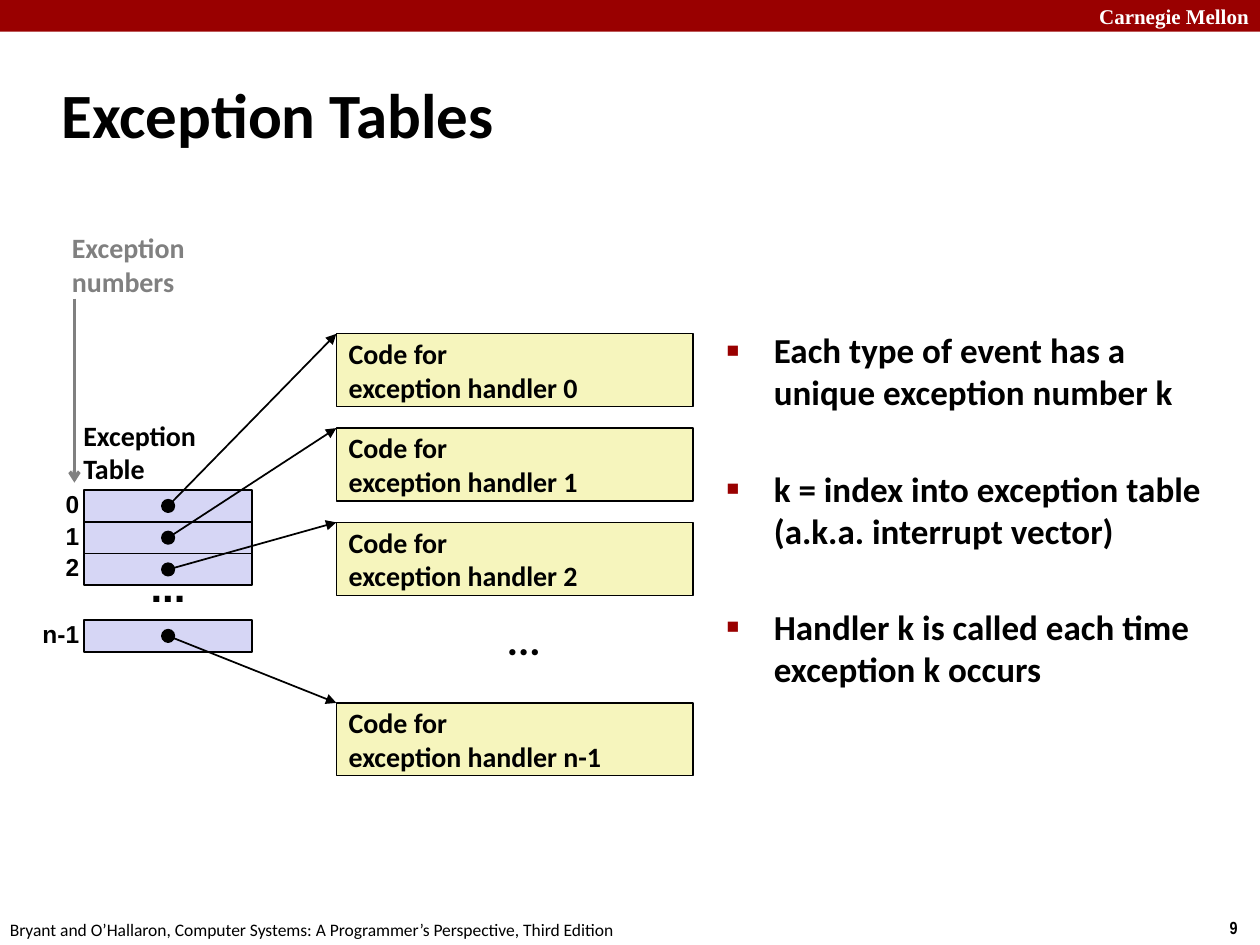
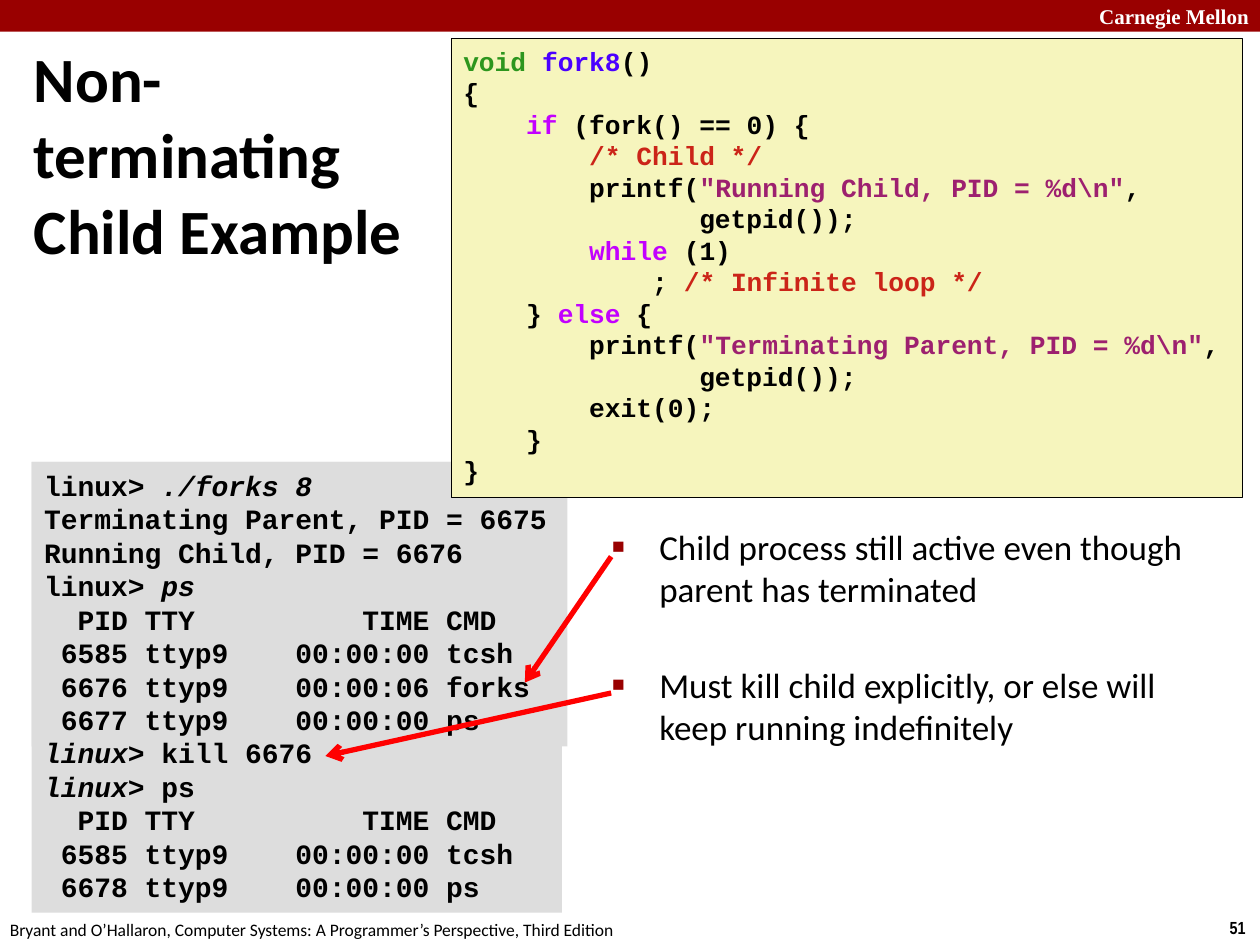
from lxml import etree
from pptx import Presentation
from pptx.dml.color import RGBColor
from pptx.enum import shapes, text
from pptx.oxml import ns
from pptx.util import Cm, Pt

COLORS = {
    "band": "990000", "white": "FFFFFF", "black": "000000", "gray": "808080",
    "entry": "D6D6F5", "code": "F6F5BD", "terminal": "DDDDDD", "arrow": "FF0000",
    "type": "2D961E", "function": "4A00FF", "keyword": "C200FF",
    "comment": "CB2418", "string": "9D206F",
}
FOOTER = "Bryant and O’Hallaron, Computer Systems: A Programmer’s Perspective, Third Edition"
INSETS = (0.25, 0.13, 0.25, 0.13)
RECTANGLE = shapes.MSO_SHAPE.RECTANGLE
OVAL = shapes.MSO_SHAPE.OVAL
LEFT, CENTER, RIGHT = text.PP_ALIGN.LEFT, text.PP_ALIGN.CENTER, text.PP_ALIGN.RIGHT
TOP, MIDDLE = text.MSO_ANCHOR.TOP, text.MSO_ANCHOR.MIDDLE

CODE = [
    [("void ", "type"), ("fork8", "function"), ("()", "black")],
    [("{", "black")],
    [("    if", "keyword"), (" (fork() == 0) {", "black")],
    [("        /* Child */", "comment")],
    [("        printf(", "black"), ('"Running Child, PID = %d\\n"', "string"), (",", "black")],
    [("               getpid());", "black")],
    [("        while", "keyword"), (" (1)", "black")],
    [("            ; ", "black"), ("/* Infinite loop */", "comment")],
    [("    } ", "black"), ("else", "keyword"), (" {", "black")],
    [("        printf(", "black"), ('"Terminating Parent, PID = %d\\n"', "string"), (",", "black")],
    [("               getpid());", "black")],
    [("        exit(0);", "black")],
    [("    }", "black")],
    [("}", "black")],
]
SESSION = [
    [("linux> ", False), ("./forks 8", True)],
    [("Terminating Parent, PID = 6675", False)],
    [("Running Child, PID = 6676", False)],
    [("linux> ", False), ("ps", True)],
    [("  PID TTY          TIME CMD", False)],
    [(" 6585 ttyp9    00:00:00 tcsh", False)],
    [(" 6676 ttyp9    00:00:06 forks", False)],
    [(" 6677 ttyp9    00:00:00 ps", False)],
    [("linux>", True), (" kill 6676", False)],
    [("linux> ", True), ("ps", False)],
    [("  PID TTY          TIME CMD", False)],
    [(" 6585 ttyp9    00:00:00 tcsh", False)],
    [(" 6678 ttyp9    00:00:00 ps", False)],
]


def rgb(name):
    """Return the named colour."""
    return RGBColor.from_string(COLORS[name])


def style(paragraph, size, color="black", bold=True, font="Calibri", align=LEFT):
    """Set the font and alignment of a paragraph."""
    paragraph.alignment = align
    paragraph.font.name = font
    paragraph.font.size = Pt(size)
    paragraph.font.bold = bold
    paragraph.font.color.rgb = rgb(color)


def set_frame(shape, anchor=TOP, insets=INSETS):
    """Prepare the text frame of a shape and return it."""
    frame = shape.text_frame
    frame.word_wrap = True
    frame.auto_size = text.MSO_AUTO_SIZE.NONE
    frame.vertical_anchor = anchor
    frame.margin_left, frame.margin_top, frame.margin_right, frame.margin_bottom = map(Cm, insets)
    return frame


def paragraphs(frame, count):
    """Yield the given number of paragraphs of an empty frame."""
    for index in range(count):
        yield frame.add_paragraph() if index else frame.paragraphs[0]


def write(shape, lines, size, anchor=TOP, insets=INSETS, **font):
    """Write plain lines, one paragraph each."""
    frame = set_frame(shape, anchor, insets)
    for paragraph, line in zip(paragraphs(frame, len(lines)), lines):
        paragraph.text = line
        style(paragraph, size, **font)


def add_label(slide, box, lines, size, **options):
    """Add a text box."""
    write(slide.shapes.add_textbox(*map(Cm, box)), lines, size, **options)


def add_box(slide, box, fill, line_width=0, kind=RECTANGLE):
    """Add a filled shape with an optional black outline."""
    shape = slide.shapes.add_shape(kind, *map(Cm, box))
    shape.shadow.inherit = False
    shape.fill.solid()
    shape.fill.fore_color.rgb = rgb(fill)
    if line_width:
        shape.line.width = Pt(line_width)
        shape.line.color.rgb = rgb("black")
    else:
        shape.line.fill.background()
    return shape


def add_arrow(slide, start, end, color="black", width=1, head="triangle"):
    """Add a straight arrow between two points."""
    line = slide.shapes.add_connector(shapes.MSO_CONNECTOR.STRAIGHT, *map(Cm, start + end))
    line.line.width = Pt(width)
    line.line.color.rgb = rgb(color)
    etree.SubElement(line.line._get_or_add_ln(), ns.qn("a:tailEnd"), type=head)
    etree.SubElement(line._element.spPr, ns.qn("a:effectLst"))


def write_runs(shape, lines, size, spacing, format_run):
    """Write monospaced lines whose runs are formatted one by one."""
    frame = set_frame(shape)
    for paragraph, line in zip(paragraphs(frame, len(lines)), lines):
        style(paragraph, size, font="Courier New")
        paragraph.line_spacing = Pt(spacing)
        for words, role in line:
            run = paragraph.add_run()
            run.text = words
            format_run(run, role)


def place(shape, box):
    """Move a placeholder to a box."""
    shape.left, shape.top, shape.width, shape.height = map(Cm, box)


def add_bullet(paragraph):
    """Give a paragraph a hanging red square bullet."""
    properties = paragraph._p.get_or_add_pPr()
    properties.set("marL", str(Cm(0.95)))
    properties.set("indent", str(-Cm(0.95)))
    color = etree.SubElement(properties, ns.qn("a:buClr"))
    etree.SubElement(color, ns.qn("a:srgbClr"), val=COLORS["band"])
    etree.SubElement(properties, ns.qn("a:buSzPct"), val="60000")
    etree.SubElement(properties, ns.qn("a:buFont"), typeface="Arial")
    etree.SubElement(properties, ns.qn("a:buChar"), char="■")


def fill_body(slide, box, items, bold):
    """Place the bullet list."""
    body = slide.placeholders[1]
    place(body, box)
    frame = set_frame(body)
    for index, paragraph in enumerate(paragraphs(frame, len(items))):
        paragraph.text = items[index]
        add_bullet(paragraph)
        paragraph.space_before = Pt(31 if index else 0)
        style(paragraph, 20, bold=bold)


def new_slide(presentation, title, title_box, number):
    """Add a slide with its title, top band and footer."""
    slide = presentation.slides.add_slide(presentation.slide_layouts[1])
    place(slide.shapes.title, title_box)
    write(slide.shapes.title, [title], 36, anchor=MIDDLE)
    add_box(slide, (0, 0, 25.4, 0.64), "band")
    add_label(slide, (21.95, 0, 3.43, 0.64), ["Carnegie Mellon"], 12, anchor=MIDDLE,
              insets=(0, 0, 0.2, 0), font="Times New Roman", color="white", align=RIGHT)
    add_label(slide, (24.54, 18.36, 0.86, 0.69), [number], 10,
              insets=(0.25, 0.13, 0, 0), font="Arial Narrow")
    add_label(slide, (0, 18.4, 12.9, 0.65), [FOOTER], 10, insets=(0.2, 0.13, 0, 0), bold=False)
    return slide


def draw_exception_table(slide, left, top):
    """Draw the numbered table entries and return their dot centres."""
    width, height, dot = 3.38, 0.64, 0.25
    center = left + width / 2
    offsets = {"0": 0, "1": height, "2": 2 * height, "n-1": 2.62}
    dots = []
    for name, offset in offsets.items():
        row_top = top + offset
        middle = row_top + height / 2
        add_box(slide, (left, row_top, width, height), "entry", 1)
        add_label(slide, (left - 1.3, row_top - 0.05, 1.2, height), [name], 14,
                  anchor=MIDDLE, insets=(0, 0, 0, 0), font="Arial", align=RIGHT)
        add_box(slide, (center - dot / 2, middle - dot / 2, dot, dot), "black", 1, OVAL)
        dots.append((center, middle))
    add_label(slide, (center - 0.8, top + 1.3, 1.6, 1.27), ["..."], 24,
              anchor=MIDDLE, font="Arial", align=CENTER)
    add_label(slide, (left - 0.27, top - 1.58, 3.2, 1.63), ["Exception", "Table"], 16)
    add_label(slide, (left - 0.5, top - 5.36, 3.2, 1.63), ["Exception", "numbers"], 16, color="gray")
    add_arrow(slide, (left - 0.2, top - 3.86), (left - 0.2, top - 0.15), "gray", 2, "arrow")
    return dots


def draw_handlers(slide, left, top):
    """Draw the handler boxes and return their top left corners."""
    width, height, pitch = 7.19, 1.47, 1.9
    offsets = {"0": 0, "1": pitch, "2": 2 * pitch, "n-1": 7.44}
    for name, offset in offsets.items():
        handler = add_box(slide, (left, top + offset, width, height), "code", 0.75)
        write(handler, ["Code for", f"exception handler {name}"], 16, anchor=MIDDLE)
    add_label(slide, (left + 2.98, top + 5.51, 1.6, 1.27), ["..."], 24, anchor=MIDDLE, align=CENTER)
    return [(left, top + offset) for offset in offsets.values()]


def build_exception_tables(presentation):
    """Build the slide on exception tables."""
    slide = new_slide(presentation, "Exception Tables", (0.99, 1.22, 21.08, 2.11), "9")
    fill_body(slide, (14.4, 6.5, 10.59, 8.94), [
        "Each type of event has a\nunique exception number k",
        "k = index into exception table\n(a.k.a. interrupt vector)",
        "Handler k is called each time\nexception k occurs",
    ], bold=True)
    dots = draw_exception_table(slide, 1.7, 9.88)
    corners = draw_handlers(slide, 6.78, 6.73)
    for dot, corner in zip(dots, corners):
        add_arrow(slide, dot, corner)


def draw_terminal(slide, left, top):
    """Draw the terminal session on its stepped panel."""
    add_box(slide, (left, top, 10.8, 5.74), "terminal")
    panel = add_box(slide, (left, top, 10.69, 9.09), "terminal")

    def set_italic(run, italic):
        """Slant a run."""
        run.font.italic = italic

    write_runs(panel, SESSION, 16, 19.15, set_italic)


def draw_code(slide, box):
    """Draw the highlighted C function."""
    def set_color(run, role):
        """Colour a run by its role."""
        run.font.color.rgb = rgb(role)

    write_runs(add_box(slide, box, "code", 0.25), CODE, 15, 18, set_color)


def build_child_example(presentation):
    """Build the slide on the child that does not end."""
    slide = new_slide(presentation, "Non-\nterminating\nChild Example", (0.43, 0.84, 10.16, 4.5), "51")
    fill_body(slide, (12.09, 10.46, 12.04, 7.54), [
        "Child process still active even though parent has terminated",
        "Must kill child explicitly, or else will keep running indefinitely",
    ], bold=False)
    draw_terminal(slide, 0.64, 9.31)
    draw_code(slide, (9.09, 0.78, 15.96, 9.24))
    for start, end in (((12.32, 11.22), (10.58, 13.76)), ((12.32, 13.97), (6.56, 15.24))):
        add_arrow(slide, start, end, "arrow", 3, "arrow")


def main():
    """Build and save the presentation."""
    presentation = Presentation()
    presentation.slide_width, presentation.slide_height = Cm(25.4), Cm(19.05)
    build_exception_tables(presentation)
    build_child_example(presentation)
    presentation.save("out.pptx")


if __name__ == "__main__":
    main()
